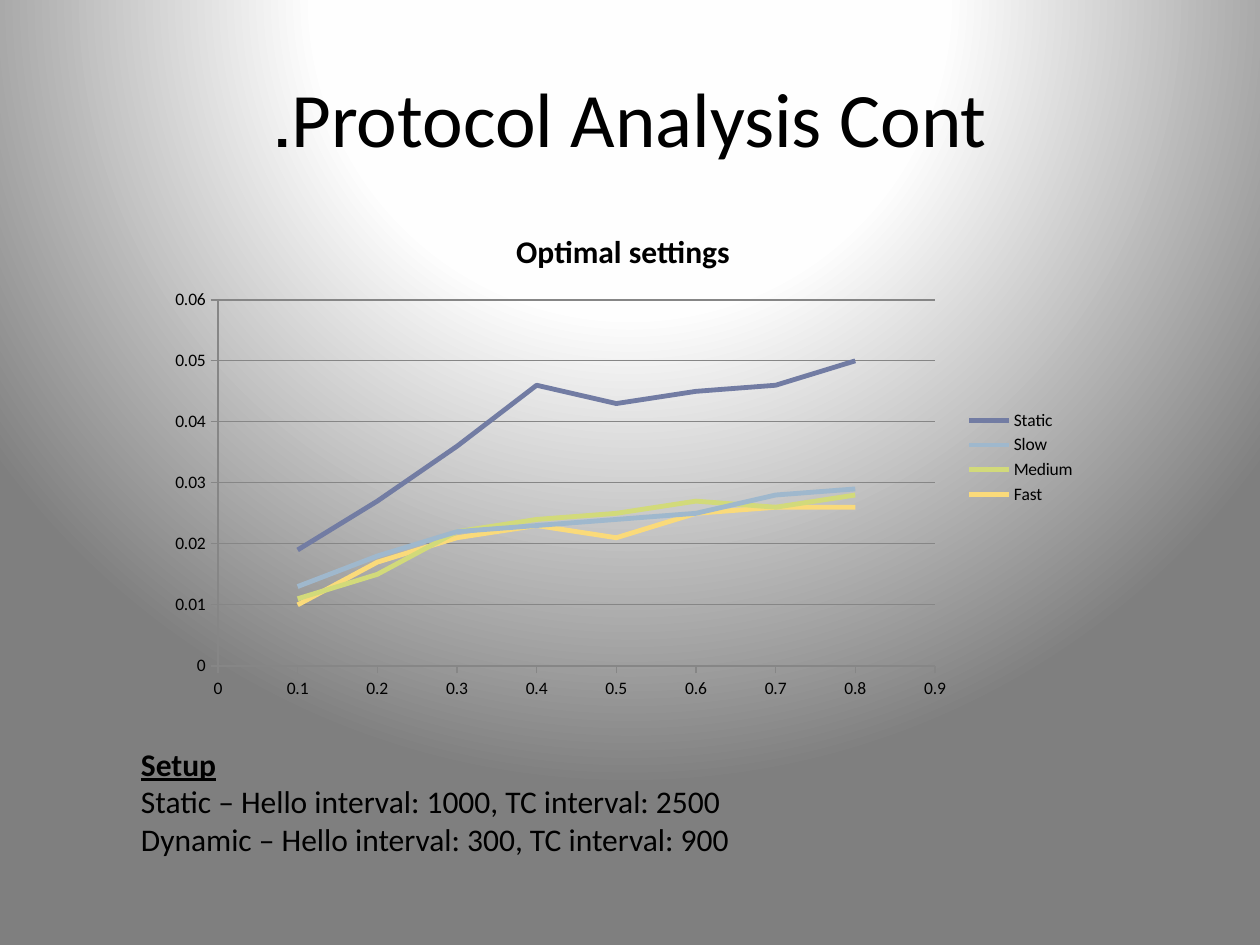
"""Build the protocol analysis slide with its smooth scatter chart."""
from pptx import Presentation
from pptx.chart.data import XyChartData
from pptx.dml.color import RGBColor
from pptx.enum.chart import XL_CHART_TYPE, XL_LEGEND_POSITION, XL_TICK_MARK
from pptx.enum.text import MSO_ANCHOR, PP_ALIGN
from pptx.oxml import parse_xml
from pptx.oxml.ns import nsdecls
from pptx.util import Inches, Pt


def rgb(value):
    return RGBColor.from_string(value)


def set_font(font, size, bold=False):
    font.name, font.size, font.bold = "Calibri", Pt(size), bold
    font.color.rgb = rgb("000000")


prs = Presentation()
prs.slide_width, prs.slide_height = Inches(10), Inches(7.5)
s = prs.slides.add_slide(prs.slide_layouts[6])

stops = "".join(
    f'<a:gs pos="{pos * 1000}"><a:srgbClr val="{color}"/></a:gs>'
    for pos, color in [(0, "FFFFFF"), (40, "FEFEFE"), (100, "7F7F7F")])
s.element.cSld.insert(0, parse_xml(
    f'<p:bg {nsdecls("p", "a")}><p:bgPr><a:gradFill rotWithShape="1">'
    f'<a:gsLst>{stops}</a:gsLst><a:path path="circle">'
    '<a:fillToRect l="50000" t="-80000" r="50000" b="180000"/></a:path>'
    '</a:gradFill><a:effectLst/></p:bgPr></p:bg>'))

tf = s.shapes.add_textbox(Inches(0.5), Inches(0.3), Inches(9), Inches(1.25)).text_frame
tf.word_wrap = True
tf.vertical_anchor = MSO_ANCHOR.MIDDLE
p = tf.paragraphs[0]
p.text = "Protocol Analysis Cont."
p.alignment = PP_ALIGN.CENTER
p._p.get_or_add_pPr().set("rtl", "1")
set_font(p.font, 44)

series = [
    ("Static", "727CA3", [0.019, 0.027, 0.036, 0.046, 0.043, 0.045, 0.046, 0.05]),
    ("Slow", "9FB8CD", [0.013, 0.018, 0.022, 0.023, 0.024, 0.025, 0.028, 0.029]),
    ("Medium", "D2DA7A", [0.011, 0.015, 0.022, 0.024, 0.025, 0.027, 0.026, 0.028]),
    ("Fast", "FADA7A", [0.01, 0.017, 0.021, 0.023, 0.021, 0.025, 0.026, 0.026]),
]
data = XyChartData()
for name, _, values in series:
    points = data.add_series(name)
    for i, value in enumerate(values, 1):
        points.add_data_point(i / 10, value)

chart = s.shapes.add_chart(
    XL_CHART_TYPE.XY_SCATTER_SMOOTH_NO_MARKERS,
    Inches(1.25), Inches(1.64), Inches(7.39), Inches(3.98), data).chart
set_font(chart.font, 10)
chart.has_title = True
chart.chart_title.include_in_layout = False
p = chart.chart_title.text_frame.paragraphs[0]
p.text = "Optimal settings"
set_font(p.font, 18, True)
chart.has_legend = True
chart.legend.position = XL_LEGEND_POSITION.RIGHT
chart.legend.include_in_layout = False

for axis, top, step in [(chart.category_axis, 0.9, 0.1), (chart.value_axis, 0.06, 0.01)]:
    axis.minimum_scale, axis.maximum_scale, axis.major_unit = 0, top, step
    axis.major_tick_mark = XL_TICK_MARK.OUTSIDE
    axis.minor_tick_mark = XL_TICK_MARK.NONE
    axis.tick_labels.number_format = "General"
    axis.tick_labels.number_format_is_linked = False
    axis.format.line.color.rgb = rgb("868686")
    axis.format.line.width = Pt(0.75)
chart.category_axis.has_major_gridlines = False
chart.value_axis.has_major_gridlines = True
grid = chart.value_axis.major_gridlines.format.line
grid.color.rgb = rgb("868686")
grid.width = Pt(0.75)

plot = chart.plots[0]
plot.vary_by_categories = False
for line, (_, color, _) in zip(plot.series, series):
    line.smooth = True
    line.format.line.color.rgb = rgb(color)
    line.format.line.width = Pt(2.75)

area = chart._chartSpace.chart.plotArea
for old in area.xpath("c:layout"):
    area.remove(old)
area.insert(0, parse_xml(
    f'<c:layout {nsdecls("c")}><c:manualLayout><c:layoutTarget val="inner"/>'
    '<c:xMode val="edge"/><c:yMode val="edge"/><c:x val="0.065"/><c:y val="0.186"/>'
    '<c:w val="0.77"/><c:h val="0.73"/></c:manualLayout></c:layout>'))

tf = s.shapes.add_textbox(Inches(1.02), Inches(5.86), Inches(5.08), Inches(1.01)).text_frame
tf.word_wrap = True
setup = ["Setup", "Static – Hello interval: 1000, TC interval: 2500",
         "Dynamic – Hello interval: 300, TC interval: 900"]
for i, text in enumerate(setup):
    p = tf.add_paragraph() if i else tf.paragraphs[0]
    p.text = text
    set_font(p.font, 18, i == 0)
    p.font.underline = i == 0

prs.save("out.pptx")
